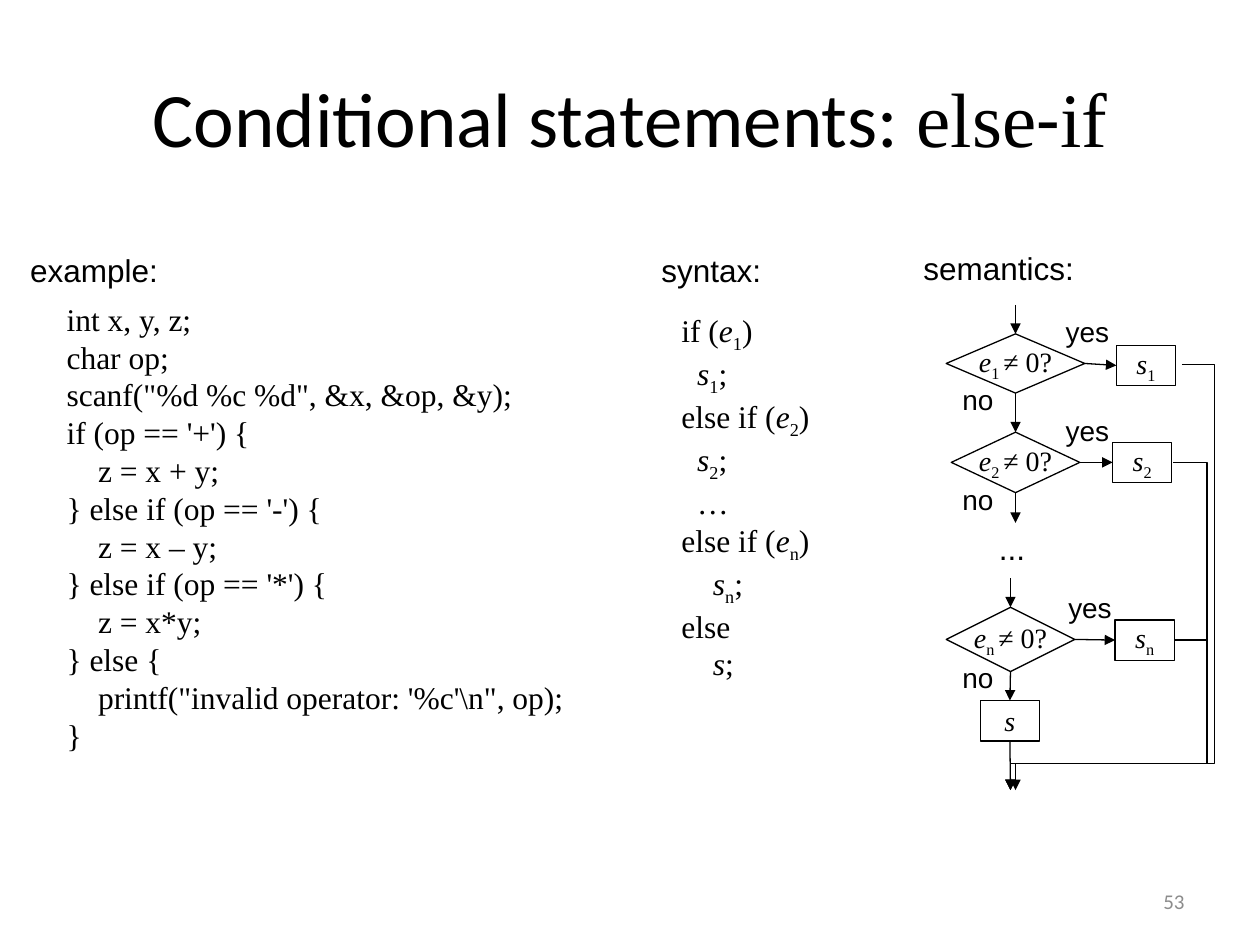
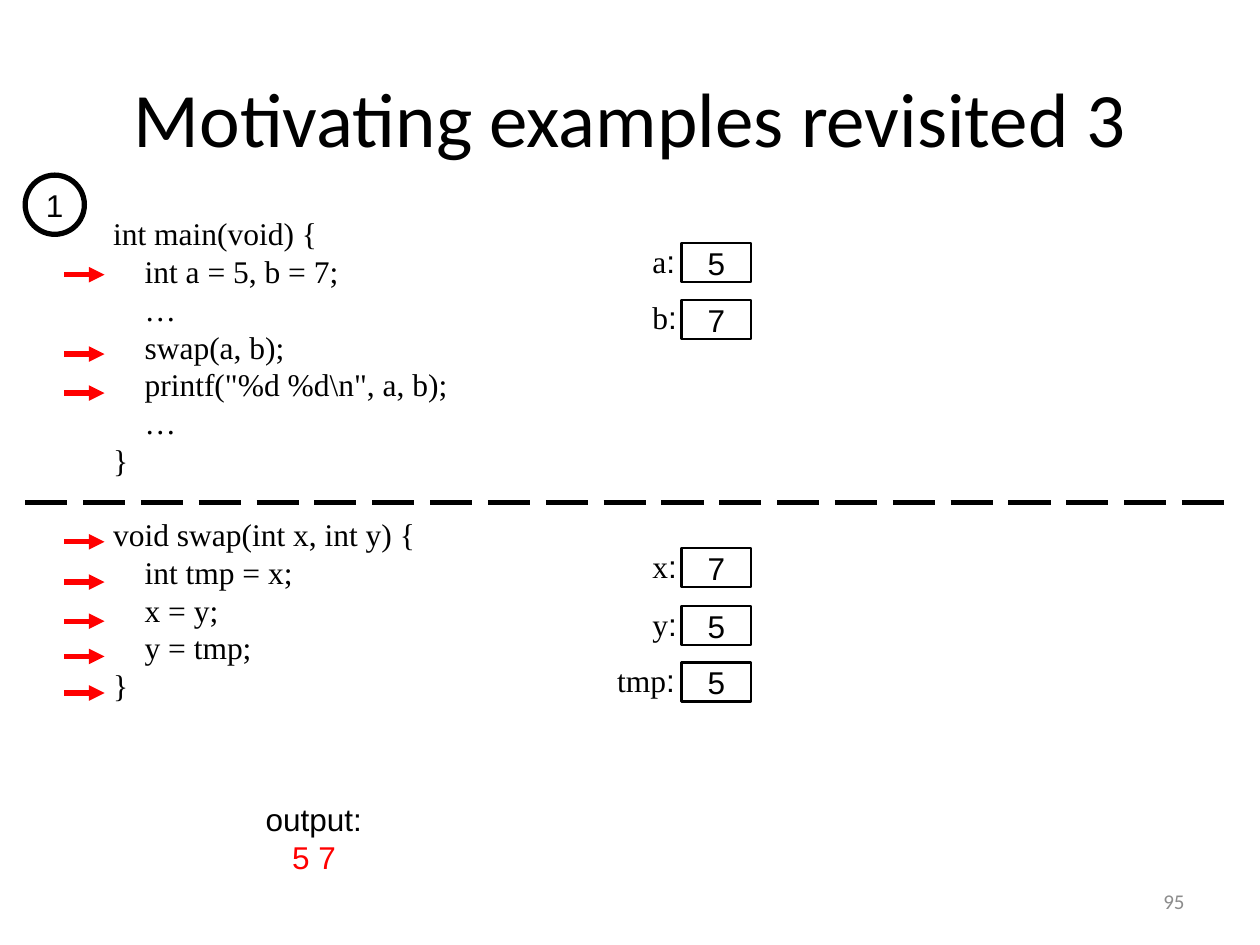
"""Build two C programming slides: else-if statements and a swap by value."""
import pptx
import pptx.dml.color
import pptx.enum.dml
import pptx.enum.shapes
import pptx.enum.text
import pptx.util
from lxml import etree
from pptx.oxml.ns import qn

Inches, Pt = pptx.util.Inches, pptx.util.Pt
rgb = pptx.dml.color.RGBColor.from_string
SHAPE = pptx.enum.shapes.MSO_SHAPE
CONNECTOR = pptx.enum.shapes.MSO_CONNECTOR
ALIGN = pptx.enum.text.PP_ALIGN
MIDDLE = pptx.enum.text.MSO_ANCHOR.MIDDLE
BLACK, WHITE, RED, GREY = "000000", "FFFFFF", "FF0000", "8C8C8C"
SERIF, SANS, HEAD = "Times New Roman", "Arial", "Calibri"
TOP, LEFT, BOTTOM, RIGHT = range(4)


def put(s, box, lines, font=SANS, size=18, color=BLACK, alt=SERIF, align=None,
        geom=None, weight=0.75, wrap=False, anchor=None):
    """Add a text box or shape; runs split at | and marked * italic, _ subscript, ^ alt font, ! red."""
    box = [Inches(v) for v in box]
    if geom is None:
        sp = s.shapes.add_textbox(*box)
    else:
        sp = s.shapes.add_shape(geom, *box)
        sp.shadow.inherit = False
        sp.fill.solid()
        sp.fill.fore_color.rgb = rgb(WHITE)
        sp.line.color.rgb = rgb(BLACK)
        sp.line.width = Pt(weight)
        align, anchor = ALIGN.CENTER, MIDDLE
    tf = sp.text_frame
    tf.word_wrap = wrap
    if anchor is not None:
        tf.vertical_anchor = anchor
    for i, line in enumerate(lines):
        p = tf.paragraphs[0] if i == 0 else tf.add_paragraph()
        p.alignment = align
        for part in line.split("|"):
            mark = part[0] if part[0] in "*_^!" else ""
            r = p.add_run()
            r.text = part[len(mark):]
            values = {"name": alt if mark == "^" else font, "size": Pt(size), "italic": mark == "*"}
            for key, value in values.items():
                setattr(r.font, key, value)
            r.font.color.rgb = rgb(RED if mark == "!" else color)
            if mark == "_":
                r._r.get_or_add_rPr().set("baseline", "-25000")
    return sp


def wire(s, start, end, color=BLACK, weight=0.75, arrow=True, via=None):
    """Join two ends, each a point or a (shape, side) pair, with an optional corner for a bent line."""
    (x1, y1), (x2, y2) = [(0, 0) if hasattr(e[0], "shape_id") else e for e in (start, end)]
    kind = CONNECTOR.ELBOW if via else CONNECTOR.STRAIGHT
    cx = s.shapes.add_connector(kind, Inches(x1), Inches(y1), Inches(x2), Inches(y2))
    if hasattr(start[0], "shape_id"):
        cx.begin_connect(*start)
    if hasattr(end[0], "shape_id"):
        cx.end_connect(*end)
    cx.line.color.rgb = rgb(color)
    cx.line.width = Pt(weight)
    sp_pr = cx._element.spPr
    if arrow:
        etree.SubElement(sp_pr.find(qn("a:ln")), qn("a:tailEnd"), type="triangle")
    if via:
        geom = sp_pr.find(qn("a:prstGeom"))
        geom.set("prst", "bentConnector4")
        guides = geom.find(qn("a:avLst"))
        shares = (via[0] - x1) / (x2 - x1), (via[1] - y1) / (y2 - y1)
        for i, share in enumerate(shares, 1):
            etree.SubElement(guides, qn("a:gd"), name=f"adj{i}", fmla=f"val {round(share * 100000)}")
    etree.SubElement(sp_pr, qn("a:effectLst"))
    return cx


prs = pptx.Presentation()
prs.slide_width, prs.slide_height = Inches(10), Inches(7.5)
slides = []
for title, number in [("Conditional statements: |^else|-|^if", "53"),
                      ("Motivating examples revisited 3", "95")]:
    s = prs.slides.add_slide(prs.slide_layouts[6])
    put(s, (0.5, 0.3, 9, 1.25), [title], HEAD, 44, align=ALIGN.CENTER, wrap=True, anchor=MIDDLE)
    put(s, (7.17, 6.95, 2.33, 0.4), [number], HEAD, 12, GREY, align=ALIGN.RIGHT, wrap=True, anchor=MIDDLE)
    slides.append(s)

s = slides[0]
for x, y, w, label in [(0.14, 1.94, 1.22, "example:"), (5.15, 1.94, 0.99, "syntax:"),
                       (7.23, 1.93, 1.4, "semantics:")]:
    put(s, (x, y, w, 0.4), [label])
example = r"""int x, y, z;
char op;
scanf("%d %c %d", &x, &op, &y);
if (op == '+') {
    z = x + y;
} else if (op == '-') {
    z = x – y;
} else if (op == '*') {
    z = x*y;
} else {
    printf("invalid operator: '%c'\n", op);
}"""
put(s, (0.43, 2.33, 4.15, 3.7), example.split("\n"), SERIF)
syntax = """if (|*e|_1|)
*  s|_1|;
else if (|*e|_2|)
*  s|_2|;
  …
else if (|*e|_n|)
*    s|_n|;
else
*    s|;"""
put(s, (5.31, 2.42, 1.23, 2.8), syntax.split("\n"), SERIF)

tests = []
for n, diamond, box, yes, no_y in [
        ("1", (7.51, 2.65, 1.1, 0.47), (8.86, 2.74), (8.36, 2.45), 2.99),
        ("2", (7.55, 3.43, 1.02, 0.48), (8.83, 3.51), (8.36, 3.23), 3.78),
        ("n", (7.51, 4.82, 1.02, 0.51), (8.85, 4.92), (8.38, 4.64), 5.19)]:
    test = put(s, diamond, [f"*e|_{n} |≠ 0?"], SERIF, 16, geom=SHAPE.FLOWCHART_DECISION)
    branch = put(s, (*box, 0.47, 0.32), [f"*s|_{n}"], SERIF, 16, geom=SHAPE.FLOWCHART_PROCESS)
    wire(s, (test, RIGHT), (branch, LEFT))
    put(s, (*yes, 0.55, 0.37), ["yes"], size=16)
    put(s, (7.54, no_y, 0.45, 0.37), ["no"], size=16)
    tests.append(test)
put(s, (7.83, 4.15, 0.45, 0.4), ["..."], wrap=True)
last = put(s, (7.78, 5.56, 0.47, 0.32), ["*s"], SERIF, 16, geom=SHAPE.FLOWCHART_PROCESS)
for start, end in [((8.06, 2.42), (tests[0], TOP)), ((tests[0], BOTTOM), (tests[1], TOP)),
                   ((tests[1], BOTTOM), (8.06, 4.15)), ((8.02, 4.59), (tests[2], TOP)),
                   ((tests[2], BOTTOM), (last, TOP)), ((last, BOTTOM), (8.02, 6.27))]:
    wire(s, start, end)
for start, end_x, corner_x in [((9.38, 2.89), 8.06, 9.64), ((9.31, 3.67), 8.02, 9.58),
                               ((9.32, 5.08), 8.02, 9.58)]:
    wire(s, start, (end_x, 6.27), via=(corner_x, 6.06))

s = slides[1]
put(s, (0.2, 1.39, 0.47, 0.47), ["1"], geom=SHAPE.OVAL, weight=3)
program = r"""int main(void) {
    int a = 5, b = 7;
    …
    swap(a, b);
    printf("%d %d\n", a, b);
    …
}
void swap(int x, int y) {
    int tmp = x;
    x = y;
    y = tmp;
}"""
sp = put(s, (0.8, 1.65, 2.86, 4.31), program.split("\n"), SERIF)
sp.text_frame.paragraphs[7].space_before = Pt(20.7)
divider = wire(s, (0.2, 3.99), (9.8, 3.99), weight=3, arrow=False)
divider.line.dash_style = pptx.enum.dml.MSO_LINE.LONG_DASH
for y in (2.18, 2.81, 3.12, 4.3, 4.62, 4.93, 5.21, 5.5):
    wire(s, (0.51, y), (0.83, y), RED, 3)
for name, value, x, y, w in [("a", "5", 5.08, 1.87, 0.38), ("b", "7", 5.08, 2.32, 0.4),
                             ("x", "7", 5.08, 4.29, 0.4), ("y", "5", 5.08, 4.75, 0.4),
                             ("tmp", "5", 4.8, 5.2, 0.66)]:
    put(s, (x, y, w, 0.4), [f"{name}|^:"], SERIF, alt=SANS)
    put(s, (5.41, y + 0.06, 0.55, 0.31), [value], geom=SHAPE.RECTANGLE, weight=1.5)
sp = put(s, (2.01, 6.3, 1.06, 0.7), ["output:", "!5 7"], wrap=True)
sp.text_frame.paragraphs[1]._p.get_or_add_pPr().set("marL", str(Inches(0.21)))

prs.save("out.pptx")
